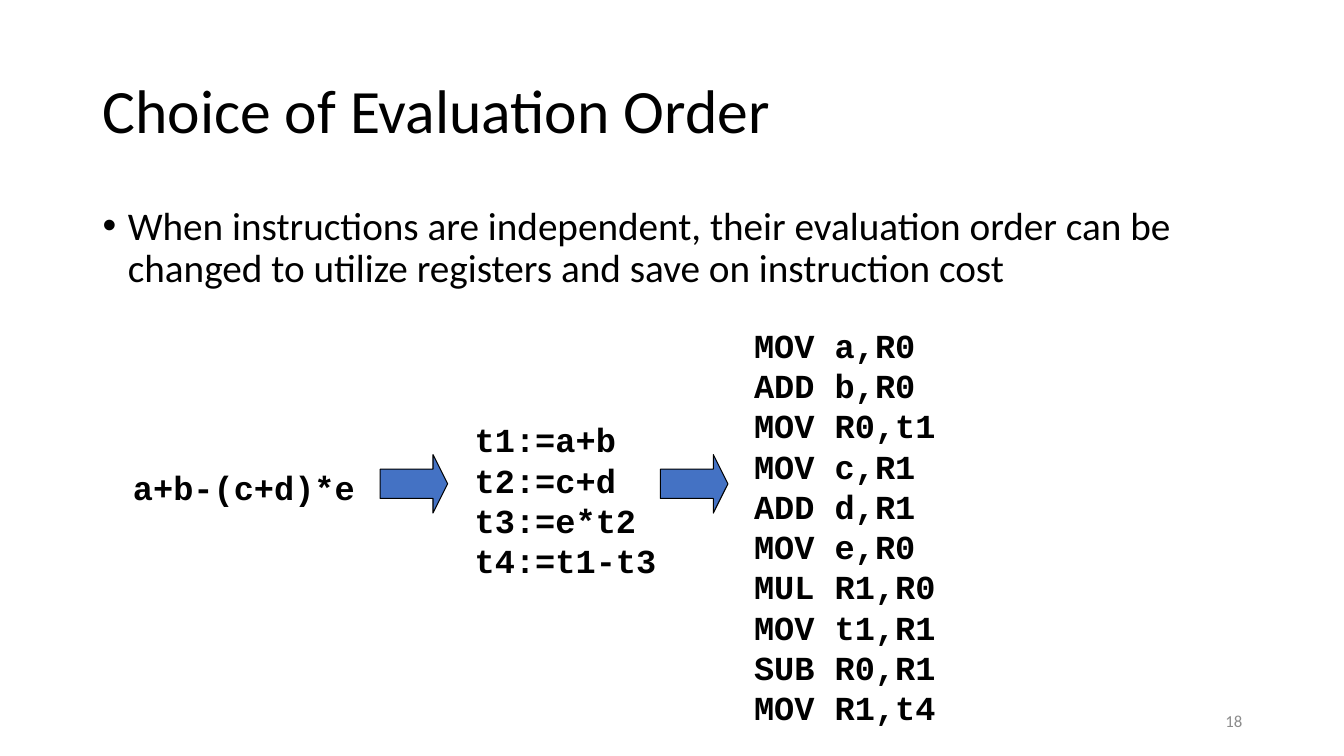
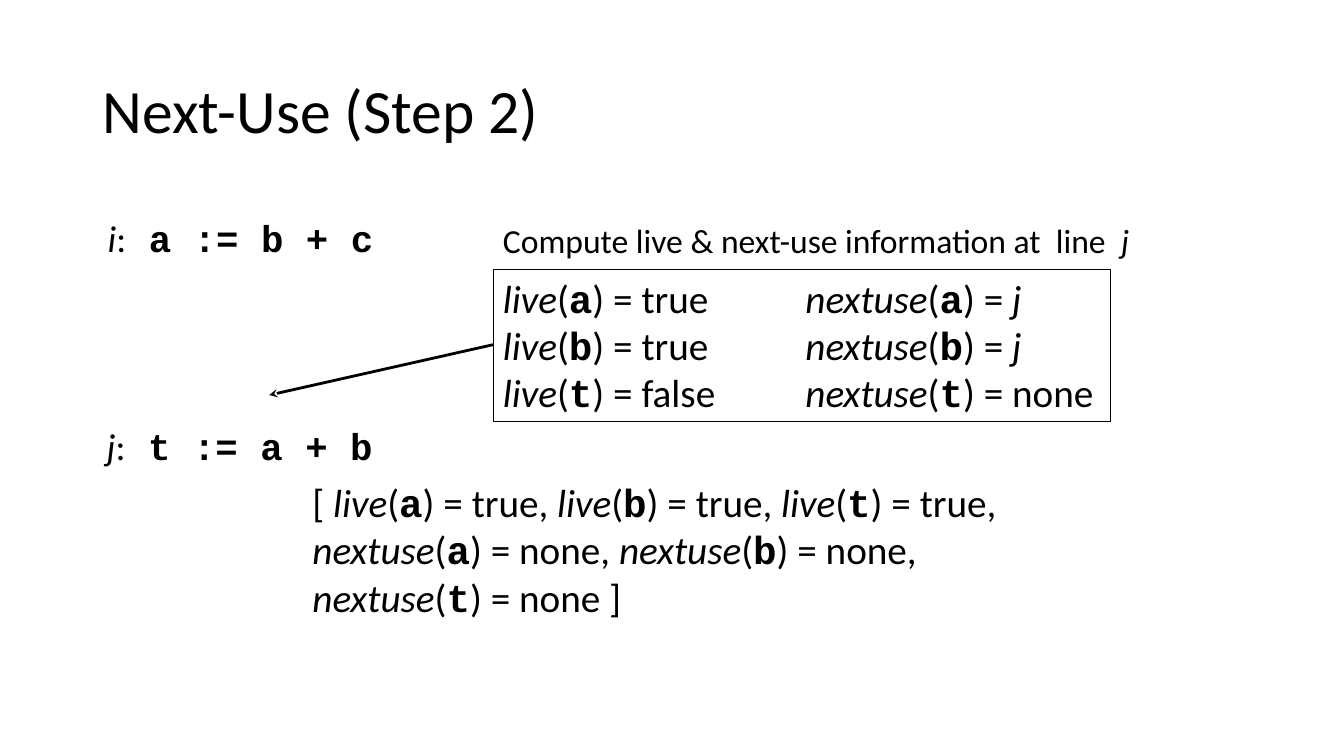
from lxml.etree import SubElement
from pptx import Presentation
from pptx.dml.color import RGBColor
from pptx.enum.shapes import MSO_CONNECTOR as Connector, MSO_SHAPE as Shape
from pptx.enum.text import MSO_ANCHOR as Anchor, MSO_AUTO_SIZE as AutoSize, PP_ALIGN as Align
from pptx.oxml.ns import qn
from pptx.util import Emu, Pt

PX = 9144  # 100 px to the inch
SLIDE_SIZE = (1333, 750)
COLOURS = {"ink": "000000", "arrow": "4472C4", "muted": "8C8C8C", "paper": "FFFFFF"}
BODY_FONT, CODE_FONT = "Calibri", "Courier New"
TITLE_AREA = (92, 40, 1150, 145)
BODY_AREA = (92, 200, 1150, 476)
NUMBER_AREA = (942, 695, 300, 40)


# A run is a (style, text) pair; a paragraph is a list of runs.
def plain(text):
    return ("plain", text)


def italic(text):
    return ("italic", text)


def code(text):
    return ("code", text)


def fact(attribute, variable, *value):
    """Runs for attribute(variable) = value."""
    return [italic(attribute), plain("("), code(variable), plain(") = "), *value]


EVALUATION = {
    "title": "Choice of Evaluation Order",
    "number": "18",
    "bullet": "When instructions are independent, their evaluation order can be "
              "changed to utilize registers and save on instruction cost",
    "listings": [
        ((122, 458, 242, 50), ["a+b-(c+d)*e"]),
        ((461, 411, 202, 172), ["t1:=a+b", "t2:=c+d", "t3:=e*t2", "t4:=t1-t3"]),
        ((738, 317, 202, 414), ["MOV a,R0", "ADD b,R0", "MOV R0,t1", "MOV c,R1", "ADD d,R1",
                                "MOV e,R0", "MUL R1,R0", "MOV t1,R1", "SUB R0,R1", "MOV R1,t4"]),
    ],
    "arrow_lefts": [377, 655],
    "arrow_top": 451,
    "arrow_size": (67, 58),
}

NEXT_USE = {
    "title": "Next-Use (Step 2)",
    "statements": [
        ((97, 208, 286, 55), "i", " a := b + c"),
        ((96, 415, 286, 55), "j", " t := a + b"),
    ],
    "caption_area": (489, 213, 648, 50),
    "caption": [plain("Compute live & next-use information at  line  "), italic("j")],
    "computed_area": (489, 267, 612, 151),
    "computed_tab": 300,
    "computed": [
        ("a", "true", italic("j")),
        ("b", "true", italic("j")),
        ("t", "false", plain("none")),
    ],
    "known_area": (300, 470, 789, 151),
    "known": [
        plain("[ "),
        *(run for name in "abt" for run in fact("live", name, plain("true, "))),
        *(run for name in "ab" for run in fact("nextuse", name, plain("none, "))),
        *fact("nextuse", "t", plain("none ]")),
    ],
    "pointer": (489, 342, 267, 392),
}


def colour(name):
    return RGBColor.from_string(COLOURS[name])


def px(*lengths):
    return [Emu(length * PX) for length in lengths]


def write(box, paragraphs, size, ink="ink", wrap=True, grow=False, spacing=None):
    frame = box.text_frame
    frame.word_wrap = wrap
    frame.auto_size = AutoSize.SHAPE_TO_FIT_TEXT if grow else AutoSize.NONE
    for index, runs in enumerate(paragraphs):
        para = frame.paragraphs[0] if index == 0 else frame.add_paragraph()
        para.alignment = Align.LEFT
        if spacing:
            para.line_spacing = spacing
        for style, text in runs:
            span = para.add_run()
            span.text = text
            font = span.font
            font.name = CODE_FONT if style == "code" else BODY_FONT
            font.size = Pt(size)
            font.bold = style == "code"
            font.italic = style == "italic"
            font.color.rgb = colour(ink)
    return frame


def add_text(page, area, paragraphs, size, **options):
    return write(page.shapes.add_textbox(*px(*area)), paragraphs, size, **options)


def add_page(deck, title, number=None):
    page = deck.slides.add_slide(deck.slide_layouts[6])
    page.background.fill.solid()
    page.background.fill.fore_color.rgb = colour("paper")
    frame = add_text(page, TITLE_AREA, [[plain(title)]], 44, spacing=0.9)
    frame.vertical_anchor = Anchor.MIDDLE
    if number:
        frame = add_text(page, NUMBER_AREA, [[plain(number)]], 12, ink="muted")
        frame.vertical_anchor = Anchor.MIDDLE
        frame.paragraphs[0].alignment = Align.RIGHT
    return page


def add_bullet(para):
    properties = para._p.get_or_add_pPr()
    properties.set("marL", str(25 * PX))
    properties.set("indent", str(-25 * PX))
    SubElement(properties, qn("a:buFont"), typeface="Arial")
    SubElement(properties, qn("a:buChar"), char="•")


def add_tab(para, position):
    tabs = SubElement(para._p.get_or_add_pPr(), qn("a:tabLst"))
    SubElement(tabs, qn("a:tab"), pos=str(position * PX), algn="l")


def add_block_arrow(page, left, top, size):
    arrow = page.shapes.add_shape(Shape.RIGHT_ARROW, *px(left, top, *size))
    arrow.adjustments[0], arrow.adjustments[1] = 0.5, 0.25
    arrow.shadow.inherit = False
    arrow.fill.solid()
    arrow.fill.fore_color.rgb = colour("arrow")
    arrow.line.color.rgb = colour("ink")
    arrow.line.width = Pt(0.75)


def add_pointer(page, ends):
    pointer = page.shapes.add_connector(Connector.STRAIGHT, *px(*ends))
    pointer.line.color.rgb = colour("ink")
    pointer.line.width = Pt(2)
    SubElement(pointer.line._get_or_add_ln(), qn("a:tailEnd"), type="stealth")
    SubElement(pointer._element.spPr, qn("a:effectLst"))


def build_evaluation(deck, content):
    page = add_page(deck, content["title"], content["number"])
    frame = add_text(page, BODY_AREA, [[plain(content["bullet"])]], 28, spacing=0.9)
    add_bullet(frame.paragraphs[0])
    for area, lines in content["listings"]:
        add_text(page, area, [[code(line)] for line in lines], 24, wrap=False, grow=True)
    for left in content["arrow_lefts"]:
        add_block_arrow(page, left, content["arrow_top"], content["arrow_size"])


def build_next_use(deck, content):
    page = add_page(deck, content["title"])
    for area, label, statement in content["statements"]:
        runs = [italic(label), plain(":"), code(statement)]
        add_text(page, area, [runs], 26.7, wrap=False, grow=True)
    add_pointer(page, content["pointer"])
    add_text(page, content["known_area"], [content["known"]], 28, grow=True)

    box = page.shapes.add_shape(Shape.RECTANGLE, *px(*content["computed_area"]))
    box.shadow.inherit = False
    box.fill.background()
    box.line.color.rgb = colour("ink")
    box.line.width = Pt(0.75)
    rows = [fact("live", name, plain(live + "\t")) + fact("nextuse", name, next_use)
            for name, live, next_use in content["computed"]]
    frame = write(box, rows, 28, wrap=False, grow=True)
    frame.vertical_anchor = Anchor.TOP
    for para in frame.paragraphs:
        add_tab(para, content["computed_tab"])
    add_text(page, content["caption_area"], [content["caption"]], 24, wrap=False, grow=True)


def main():
    deck = Presentation()
    deck.slide_width, deck.slide_height = px(*SLIDE_SIZE)
    build_evaluation(deck, EVALUATION)
    build_next_use(deck, NEXT_USE)
    deck.save("out.pptx")


if __name__ == "__main__":
    main()
